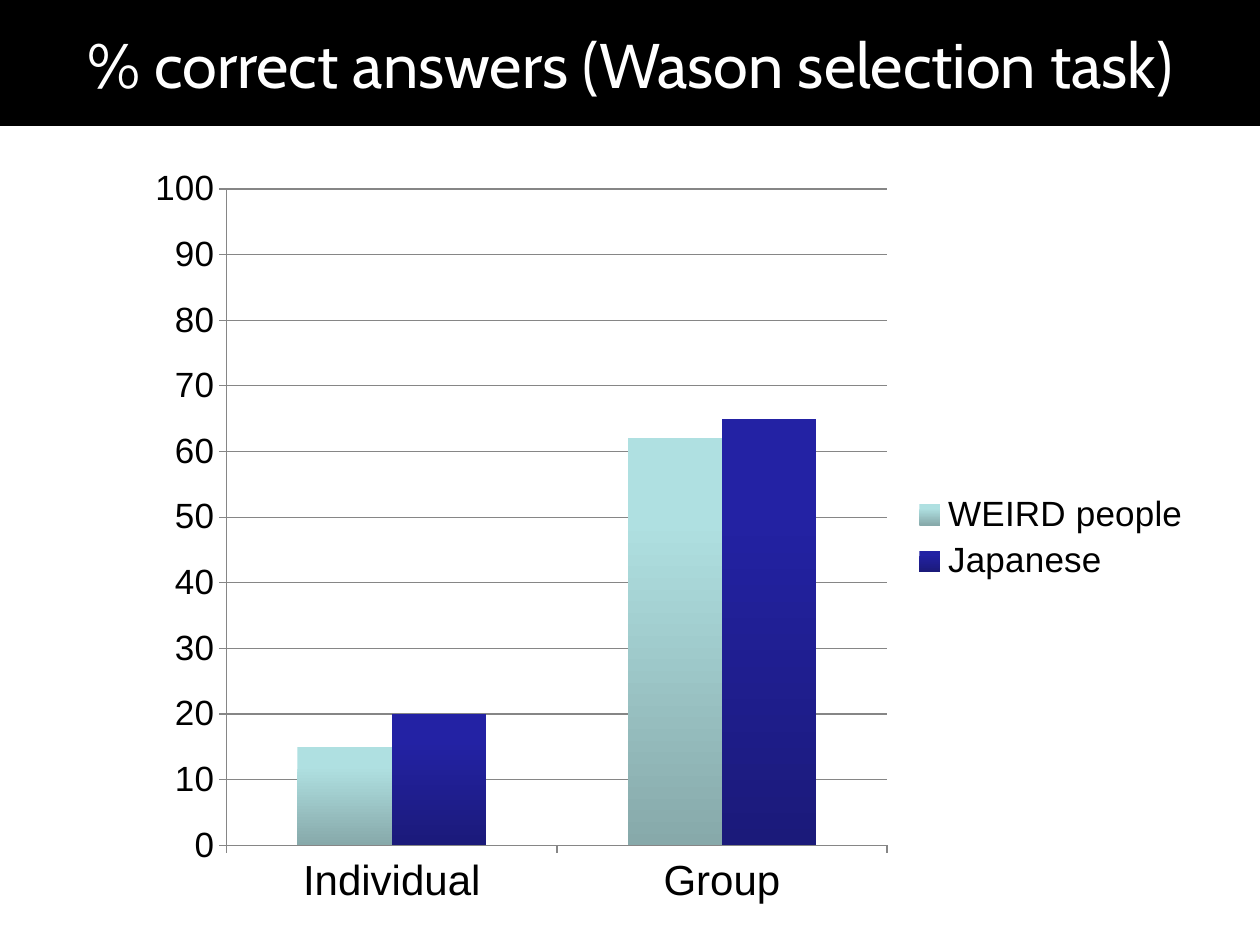
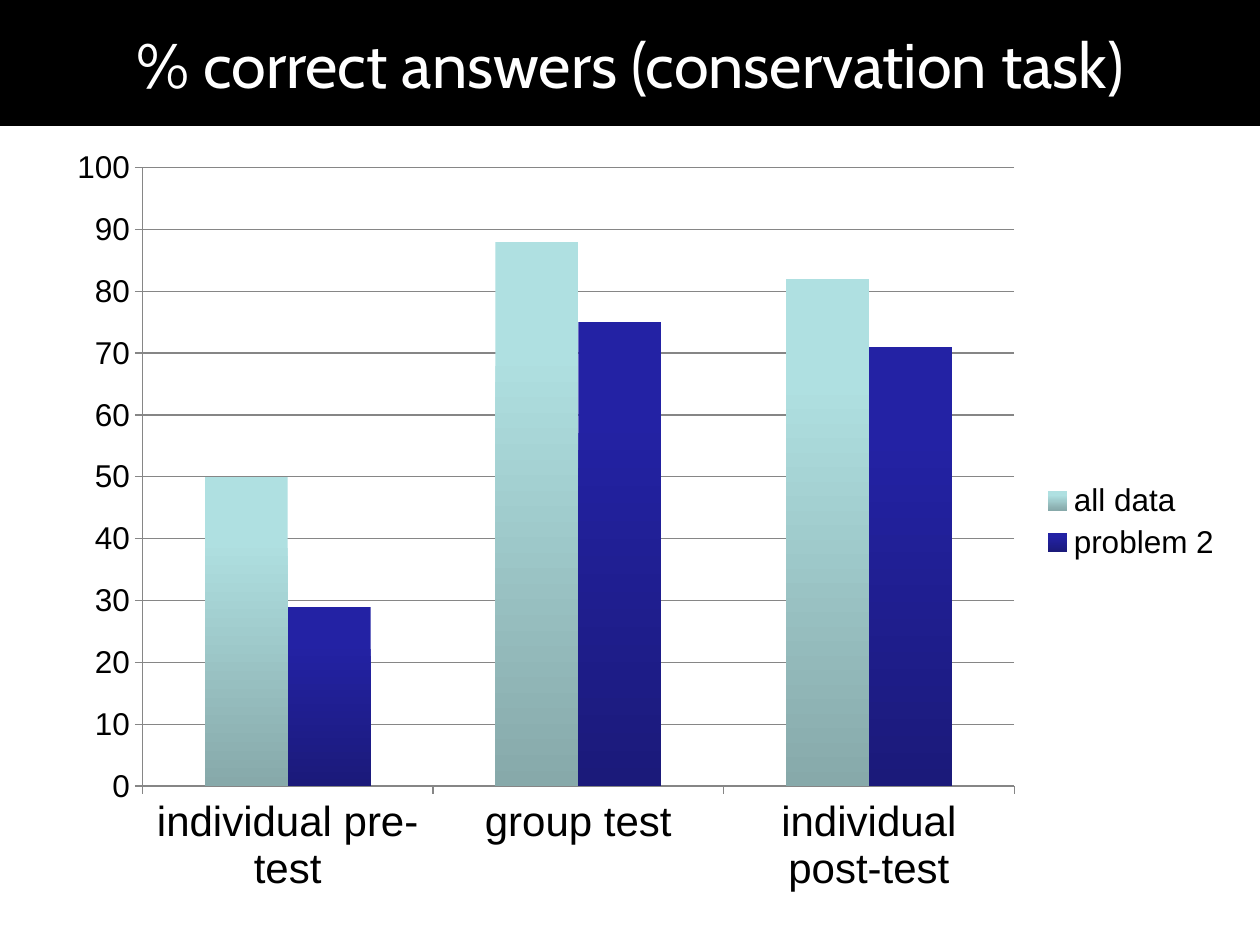
from dataclasses import dataclass

from lxml import etree
from pptx import Presentation
from pptx import util as u
from pptx.chart.chart import Chart
from pptx.chart.data import CategoryChartData
from pptx.dml.color import RGBColor
from pptx.enum import chart as ch
from pptx.enum import text as tx
from pptx.oxml import ns
from pptx.slide import Slide


@dataclass(frozen=True)
class Theme:
    band: RGBColor = RGBColor(0, 0, 0)
    title: RGBColor = RGBColor(255, 255, 255)
    text: RGBColor = RGBColor(0, 0, 0)
    line: RGBColor = RGBColor(0x86, 0x86, 0x86)
    # Top and bottom colour of each series' bars
    bars: tuple = (
        (RGBColor(0xAF, 0xE0, 0xE1), RGBColor(0x87, 0xA9, 0xAA)),
        (RGBColor(0x23, 0x22, 0xA4), RGBColor(0x1B, 0x1A, 0x7A)),
    )
    head_font: str = "Cabin"
    body_font: str = "Arial"
    head_size: int = 36
    cat_size: int = 24


@dataclass(frozen=True)
class Box:
    """A place on the slide, in inches."""
    left: float
    top: float
    width: float
    height: float

    def emu(self) -> tuple:
        return tuple(u.Inches(n) for n in
                     (self.left, self.top, self.width, self.height))


@dataclass(frozen=True)
class Result:
    title: str
    frame: Box
    plot: Box
    size: int
    groups: tuple
    series: dict


THEME = Theme()
BAND = Box(0, 0, 10, 1)
RESULTS = (
    Result("% correct answers (Wason selection task)",
           Box(1.06, 1.23, 8.5, 6.08), Box(1.8, 1.5, 5.24, 5.21), 20,
           ("Individual", "Group"),
           {"WEIRD people": (15, 62), "Japanese": (20, 65)}),
    Result("% correct answers (conservation task)",
           Box(0.43, 1.07, 9.37, 6.14), Box(1.13, 1.33, 6.92, 4.91), 18,
           ("individual pre-test", "group test", "individual post-test"),
           {"all data": (50, 88, 82), "problem 2": (29, 75, 71)}),
)


def add_title(slide: Slide, words: str) -> None:
    title = slide.shapes.title
    title.left, title.top, title.width, title.height = BAND.emu()
    title.fill.solid()
    title.fill.fore_color.rgb = THEME.band
    frame = title.text_frame
    frame.text = words
    frame.auto_size = tx.MSO_AUTO_SIZE.NONE
    frame.vertical_anchor = tx.MSO_ANCHOR.MIDDLE
    para = frame.paragraphs[0]
    para.alignment = tx.PP_ALIGN.CENTER
    font = para.runs[0].font
    font.name = THEME.head_font
    font.size = u.Pt(THEME.head_size)
    font.color.rgb = THEME.title


def set_plot(chart: Chart, frame: Box, plot: Box) -> None:
    """Fix the inner plot area at a place given on the slide."""
    area = chart._chartSpace.chart.plotArea
    for old in area.findall(ns.qn("c:layout")):
        area.remove(old)
    layout = etree.Element(ns.qn("c:layout"))
    manual = etree.SubElement(layout, ns.qn("c:manualLayout"))
    parts = {
        "layoutTarget": "inner", "xMode": "edge", "yMode": "edge",
        "x": (plot.left - frame.left) / frame.width,
        "y": (plot.top - frame.top) / frame.height,
        "w": plot.width / frame.width,
        "h": plot.height / frame.height,
    }
    for name, value in parts.items():
        etree.SubElement(manual, ns.qn(f"c:{name}")).set("val", str(value))
    area.insert(0, layout)


def style_axes(chart: Chart, size: int) -> None:
    value = chart.value_axis
    value.minimum_scale, value.maximum_scale = 0, 100
    value.major_unit = 10
    value.has_major_gridlines = True
    value.major_gridlines.format.line.color.rgb = THEME.line
    for axis, points in ((chart.category_axis, THEME.cat_size), (value, size)):
        axis.major_tick_mark = ch.XL_TICK_MARK.OUTSIDE
        axis.format.line.color.rgb = THEME.line
        axis.tick_labels.font.size = u.Pt(points)


def add_chart(slide: Slide, result: Result) -> None:
    data = CategoryChartData()
    data.categories = result.groups
    for name, values in result.series.items():
        data.add_series(name, values)
    chart = slide.shapes.add_chart(
        ch.XL_CHART_TYPE.COLUMN_CLUSTERED, *result.frame.emu(), data).chart
    chart.has_title = False
    chart.font.name = THEME.body_font
    chart.font.size = u.Pt(result.size)
    chart.font.color.rgb = THEME.text
    chart.has_legend = True
    chart.legend.position = ch.XL_LEGEND_POSITION.RIGHT
    chart.legend.include_in_layout = False
    chart.legend.font.size = u.Pt(result.size)
    style_axes(chart, result.size)
    set_plot(chart, result.frame, result.plot)
    bars = chart.plots[0]
    bars.vary_by_categories = False
    bars.gap_width, bars.overlap = 150, 0
    for series, shades in zip(bars.series, THEME.bars):
        fill = series.format.fill
        fill.gradient()
        fill.gradient_angle = 270
        for stop, shade, place in zip(fill.gradient_stops, shades, (0.2, 1)):
            stop.color.rgb = shade
            stop.position = place


def main() -> None:
    deck = Presentation()
    deck.slide_width, deck.slide_height = u.Inches(10), u.Inches(7.5)
    for result in RESULTS:
        slide = deck.slides.add_slide(deck.slide_layouts[5])
        add_title(slide, result.title)
        add_chart(slide, result)
    deck.save("out.pptx")


if __name__ == "__main__":
    main()
